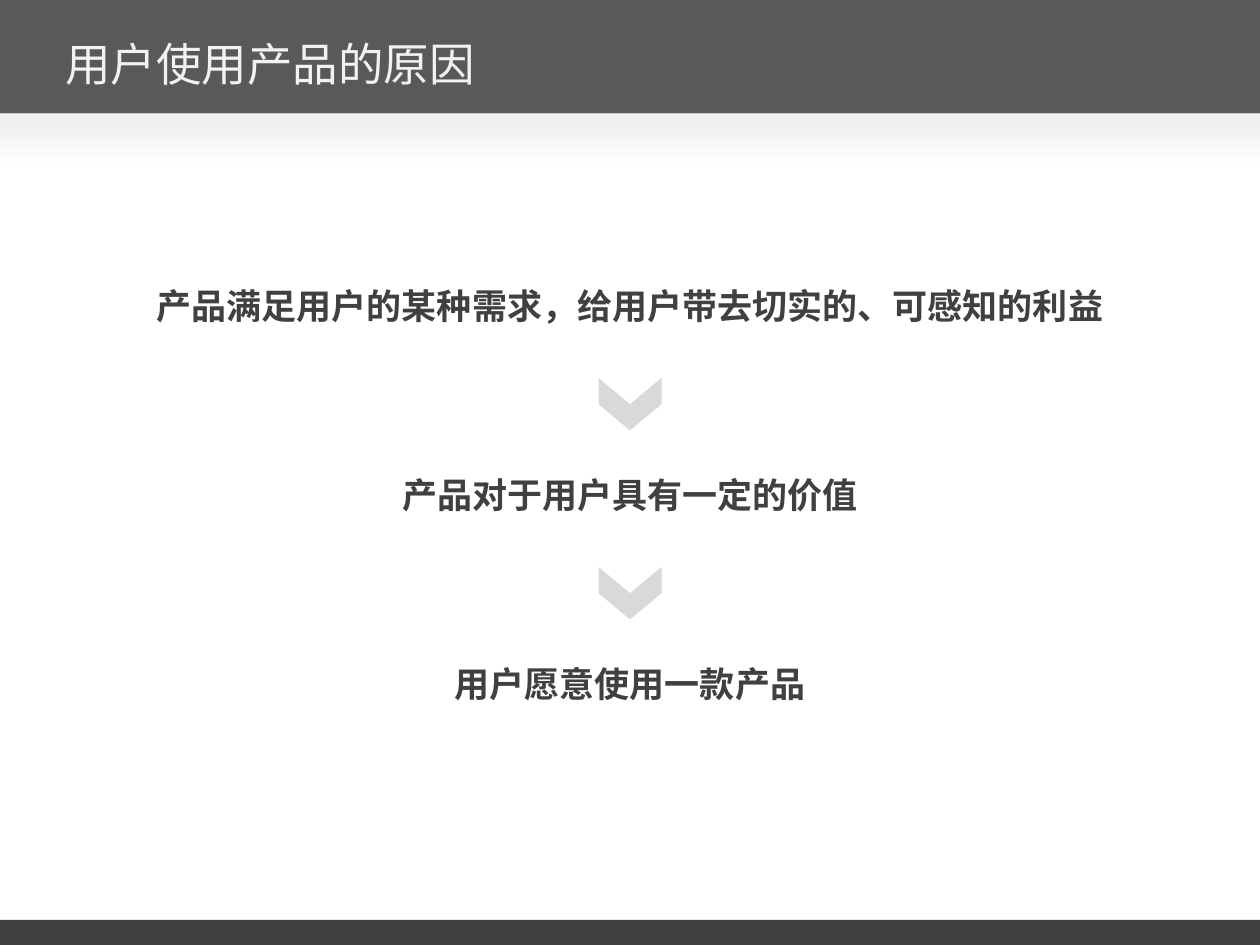
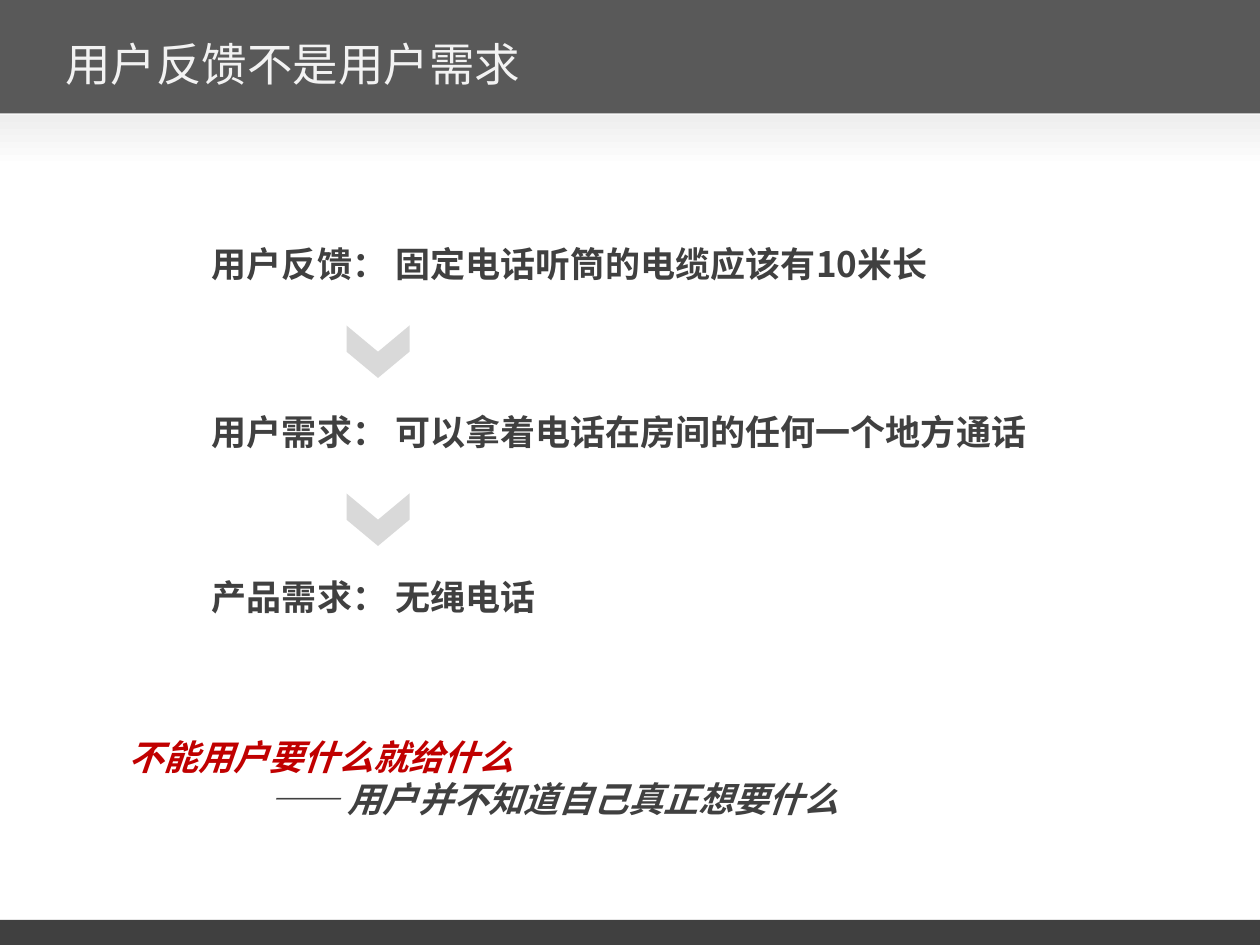
from pptx import Presentation
from pptx.dml.color import RGBColor
from pptx.enum.shapes import MSO_SHAPE
from pptx.enum.text import MSO_ANCHOR, MSO_AUTO_SIZE, PP_ALIGN
from pptx.oxml.ns import qn
from pptx.util import Pt
from lxml.etree import SubElement

PALE = RGBColor(0xF7, 0xF7, 0xF7)
DARK = RGBColor(0x40, 0x40, 0x40)
GREY = RGBColor(0x59, 0x59, 0x59)
MIST = RGBColor(0xEE, 0xEE, 0xEE)
WHITE = RGBColor(0xFF, 0xFF, 0xFF)
LIGHT = RGBColor(0xF2, 0xF2, 0xF2)
SILVER = RGBColor(0xD9, 0xD9, 0xD9)
RED = RGBColor(0xC0, 0x00, 0x00)
HEAD_FONT = "DejaVu Sans Mono"
TEXT_FONT = "Noto Sans CJK SC"
WIDTH = 720
HEIGHT = 540
TALL_PAD = 6.4
FLAT_PAD = 0.4


def place(shape, left, top, width, height):
    """Move and size a shape, in points."""
    shape.left, shape.top = Pt(left), Pt(top)
    shape.width, shape.height = Pt(width), Pt(height)


def add_plain(slide, kind, color, *box):
    """Add a flat shape without line or shadow."""
    shape = slide.shapes.add_shape(kind, *map(Pt, box))
    shape.shadow.inherit = False
    shape.fill.solid()
    shape.fill.fore_color.rgb = color
    shape.line.fill.background()
    return shape


def add_bands(layout, slide):
    """Build the shared bands and move them to the back of the layout."""
    bands = [
        add_plain(slide, MSO_SHAPE.RECTANGLE, color, 0, top, WIDTH, height)
        for color, top, height in (
            (PALE, 0, 72), (DARK, 525.6, 14.4), (GREY, 0, 64.8), (MIST, 66, 30))
    ]
    fade = bands[-1].fill
    fade.gradient()
    fade.gradient_angle = 270
    for stop, color in zip(fade.gradient_stops, (MIST, WHITE)):
        stop.color.rgb = color
    for order, band in enumerate(bands):
        band.element.nvSpPr.cNvPr.set("id", str(20 + order))
        layout.shapes.element.insert(2 + order, band.element)


def style(line, font, size, color, bold=False, italic=False):
    """Format every run of a paragraph."""
    for run in line.runs:
        face = run.font
        face.name, face.size = font, Pt(size)
        face.bold, face.italic = bold, italic
        face.color.rgb = color
        SubElement(face._element, qn("a:ea")).set("typeface", font)


def set_title(slide, text):
    """Fill the title placeholder."""
    title = slide.shapes.title
    place(title, 30, 12, 582, 48)
    frame = title.text_frame
    frame.text = text
    frame.auto_size = MSO_AUTO_SIZE.NONE
    frame.vertical_anchor = MSO_ANCHOR.MIDDLE
    line = frame.paragraphs[0]
    line.alignment = PP_ALIGN.LEFT
    style(line, HEAD_FONT, 26, LIGHT)


def set_text(shape, text, align=PP_ALIGN.LEFT, pad=TALL_PAD, italic=False):
    """Write bold lines without bullets."""
    frame = shape.text_frame
    frame.text = text
    frame.word_wrap = True
    frame.auto_size = MSO_AUTO_SIZE.NONE
    frame.vertical_anchor = MSO_ANCHOR.TOP
    frame.margin_top = Pt(pad)
    for line in frame.paragraphs:
        line.alignment = align
        line.space_before = Pt(0)
        line.line_spacing = 1.0
        props = line._p.get_or_add_pPr()
        props.set("marL", "0")
        props.set("indent", "0")
        SubElement(props, qn("a:buNone"))
        style(line, TEXT_FONT, 20, DARK, True, italic)
    return frame


def add_text(slide, text, box, **look):
    """Add a text box with bold text."""
    set_text(slide.shapes.add_textbox(*map(Pt, box)), text, **look)


def add_arrow(slide, mid, top):
    """Add a chevron that points down, centred on mid."""
    arrow = add_plain(slide, MSO_SHAPE.CHEVRON, SILVER, mid - 15, top, 30, 36)
    arrow.rotation = 90


def show_reason(slide):
    """Fill the slide on why people use a product."""
    set_title(slide, "用户使用产品的原因")
    body = slide.placeholders[1]
    place(body, 0, 156, WIDTH, 48)
    set_text(body, "产品满足用户的某种需求，给用户带去切实的、可感知的利益",
             PP_ALIGN.CENTER)
    for row, text in enumerate(
            ("产品对于用户具有一定的价值", "用户愿意使用一款产品"), 1):
        top = 156 + 108 * row
        add_arrow(slide, WIDTH / 2, top - 51)
        add_text(slide, text, (0, top, WIDTH, 42), align=PP_ALIGN.CENTER)


def show_need(slide):
    """Fill the slide on feedback and need."""
    set_title(slide, "用户反馈不是用户需求")
    steps = (
        (138, "用户反馈： 固定电话听筒的电缆应该有10米长"),
        (234, "用户需求： 可以拿着电话在房间的任何一个地方通话"),
        (328.5, "产品需求： 无绳电话"),
    )
    for top, text in steps:
        add_text(slide, text, (114, top, 486, 31.5), pad=FLAT_PAD)
    for top, _ in steps[:-1]:
        add_arrow(slide, 216, top + 45)
    body = slide.placeholders[1]
    place(body, 66, 414, 564, 84)
    frame = set_text(
        body, "不能用户要什么就给什么\n—— 用户并不知道自己真正想要什么", italic=True)
    claim, cause = frame.paragraphs
    claim.runs[0].font.color.rgb = RED
    cause._p.get_or_add_pPr().set("marL", str(Pt(81)))


def main():
    """Build and save the deck."""
    deck = Presentation()
    deck.slide_width, deck.slide_height = Pt(WIDTH), Pt(HEIGHT)
    layout = deck.slide_layouts[1]
    first, second = (deck.slides.add_slide(layout) for _ in range(2))
    add_bands(layout, first)
    show_reason(first)
    show_need(second)
    deck.save("out.pptx")


if __name__ == "__main__":
    main()
